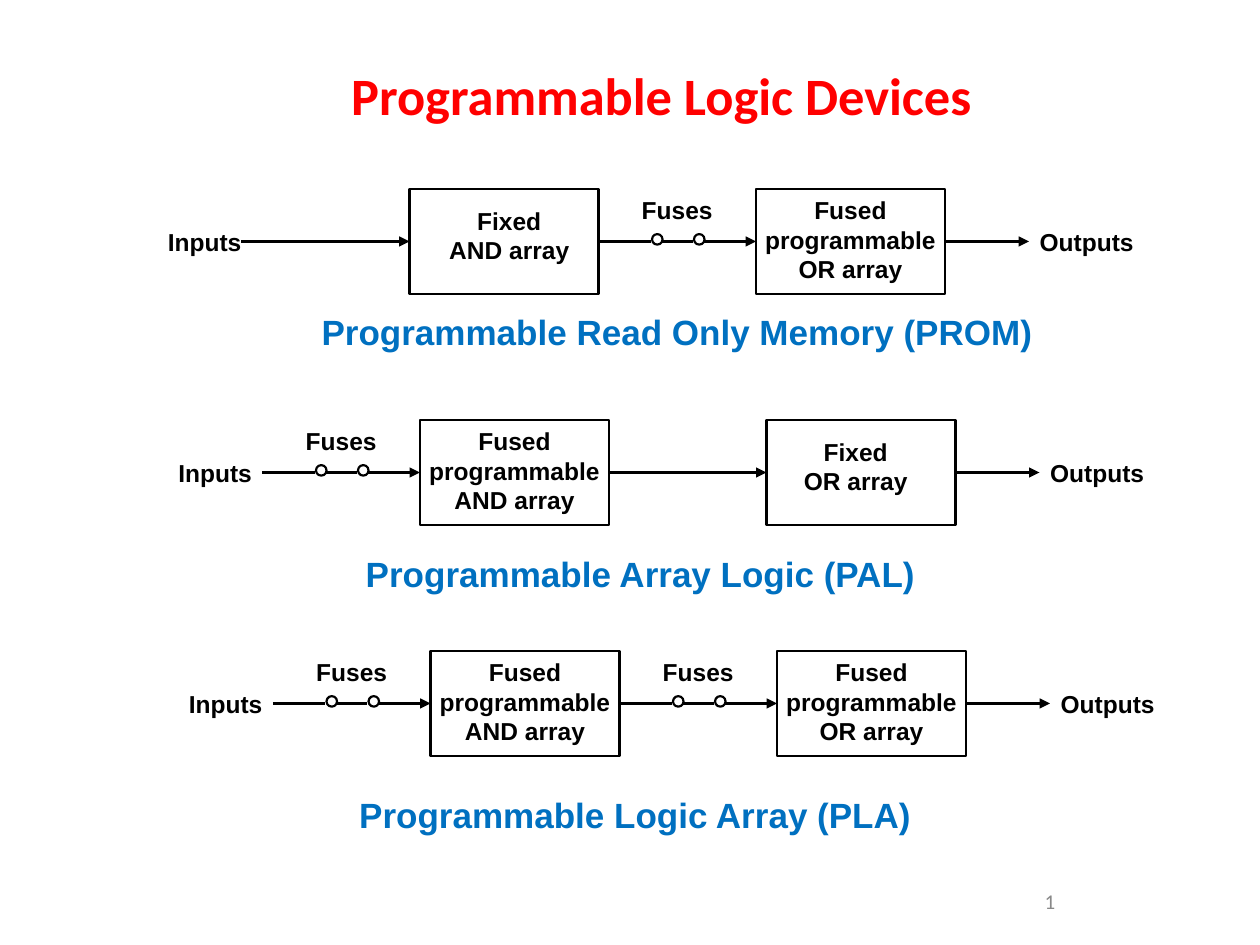
from lxml import etree
from pptx import Presentation
from pptx import util as u
from pptx.dml.color import RGBColor
from pptx.enum import shapes, text
from pptx.oxml.ns import qn

PX = u.Inches(1) // 120
BLACK, RED, BLUE, GREY = "000000", "FF0000", "0070C0", "898989"

TITLE = "Programmable Logic Devices"
FUSED = ["Fused", "programmable"]
DEVICES = [
    {"and": ["Fixed"], "or": FUSED, "inset": 20, "input_start": 230,
     "caption": "Programmable Read Only Memory (PROM)", "caption_at": (260, 290, 770, 60)},
    {"and": FUSED, "or": ["Fixed"], "inset": 10, "input_start": 250,
     "caption": "Programmable Array Logic (PAL)", "caption_at": (290, 520, 640, 60)},
    {"and": FUSED, "or": FUSED, "inset": 0, "input_start": 260,
     "caption": "Programmable Logic Array (PLA)", "caption_at": (270, 750, 670, 60)},
]
STEP_X, STEP_Y = 10, 220
ARRAY_W, ARRAY_H, GAP = 180, 100, 150
AND_X, FIRST_TOP = 390, 180

LABEL = {"name": "Arial", "size": u.Pt(14), "bold": True}
CAPTION = {"name": "Arial", "size": u.Pt(20), "bold": True}
HEADING = {"name": "Calibri", "size": u.Pt(30), "bold": True}
NUMBER = {"name": "Calibri", "size": u.Pt(12)}


def px(*lengths):
    return [n * PX for n in lengths]


def color(value):
    return RGBColor.from_string(value)


def style(paragraph, look, ink):
    paragraph.alignment = text.PP_ALIGN.CENTER
    for key, value in look.items():
        setattr(paragraph.font, key, value)
    paragraph.font.color.rgb = color(ink)


def write(at, lines, look=LABEL, ink=BLACK, grow=True):
    frame = slide.shapes.add_textbox(*px(*at)).text_frame
    frame.word_wrap = True
    if grow:
        frame.auto_size = text.MSO_AUTO_SIZE.SHAPE_TO_FIT_TEXT
    frame.text = "\n".join(lines)
    for paragraph in frame.paragraphs:
        style(paragraph, look, ink)
    return frame


def outline(kind, at, weight):
    shape = slide.shapes.add_shape(kind, *px(*at))
    shape.shadow.inherit = False
    shape.fill.background()
    shape.line.color.rgb = color(BLACK)
    shape.line.width = u.Pt(weight)
    return shape


def wire(start, end, y, source=None, target=None, arrow=False):
    line = slide.shapes.add_connector(shapes.MSO_CONNECTOR.STRAIGHT, *px(start, y, end, y))
    line.line.color.rgb = color(BLACK)
    line.line.width = u.Pt(1.25)
    if source is not None:
        line.begin_connect(source, 3)
    if target is not None:
        line.end_connect(target, 1)
    if arrow:
        etree.SubElement(line.line._get_or_add_ln(), qn("a:tailEnd"), type="triangle")
    etree.SubElement(line._element.spPr, qn("a:effectLst"))


def array(x, top, kind, gate, inset):
    box = outline(shapes.MSO_SHAPE.RECTANGLE, (x, top, ARRAY_W, ARRAY_H), 1.5)
    at = (x - 10, top, 200, 97) if kind is FUSED else (x + inset, top + 10, 150, 68)
    write(at, kind + [f"{gate} array"])
    return box


def feed(start, end, y, kind, target, source=None):
    if kind is not FUSED:
        wire(start, end, y, source, target, arrow=True)
        return
    wire(start, start + 50, y, source)
    wire(start + 60, start + 90, y)
    wire(start + 100, end, y, target=target, arrow=True)
    for offset in (51, 91):
        outline(shapes.MSO_SHAPE.OVAL, (start + offset, y - 7, 10, 10), 1.25)
    write((start + 20, y - 50, 110, 40), ["Fuses"])


prs = Presentation()
prs.slide_width, prs.slide_height = px(1200, 900)
slide = prs.slides.add_slide(prs.slide_layouts[5])

title = slide.shapes.title
title.left, title.top, title.width, title.height = px(120, 40, 1020, 100)
title.text_frame.text = TITLE
style(title.text_frame.paragraphs[0], HEADING, RED)

for row, device in enumerate(DEVICES):
    shift, top = row * STEP_X, FIRST_TOP + row * STEP_Y
    middle = top + ARRAY_H // 2
    and_x = AND_X + shift
    and_end = and_x + ARRAY_W
    or_x = and_end + GAP
    or_end = or_x + ARRAY_W
    and_array = array(and_x, top, device["and"], "AND", device["inset"])
    or_array = array(or_x, top, device["or"], "OR", device["inset"])
    feed(device["input_start"], and_x, middle, device["and"], and_array)
    feed(and_end, or_x, middle, device["or"], or_array, and_array)
    wire(or_end, or_end + 80, middle, or_array, arrow=True)
    write((140 + shift, middle - 20, 110, 40), ["Inputs"])
    write((or_end + 70, middle - 20, 130, 40), ["Outputs"])
    write(device["caption_at"], [device["caption"]], CAPTION, BLUE, grow=False)

page = write((860, 834, 280, 48), [""], NUMBER, GREY, grow=False)
page.vertical_anchor = text.MSO_ANCHOR.MIDDLE
run = page.paragraphs[0].add_run()
run.text = "3"
for key, value in NUMBER.items():
    setattr(run.font, key, value)
run.font.color.rgb = color(GREY)
run._r.tag = qn("a:fld")
run._r.set("id", "{B6F15528-21DE-4FAA-801E-634DDDAF4B2B}")
run._r.set("type", "slidenum")
prs.save("out.pptx")
